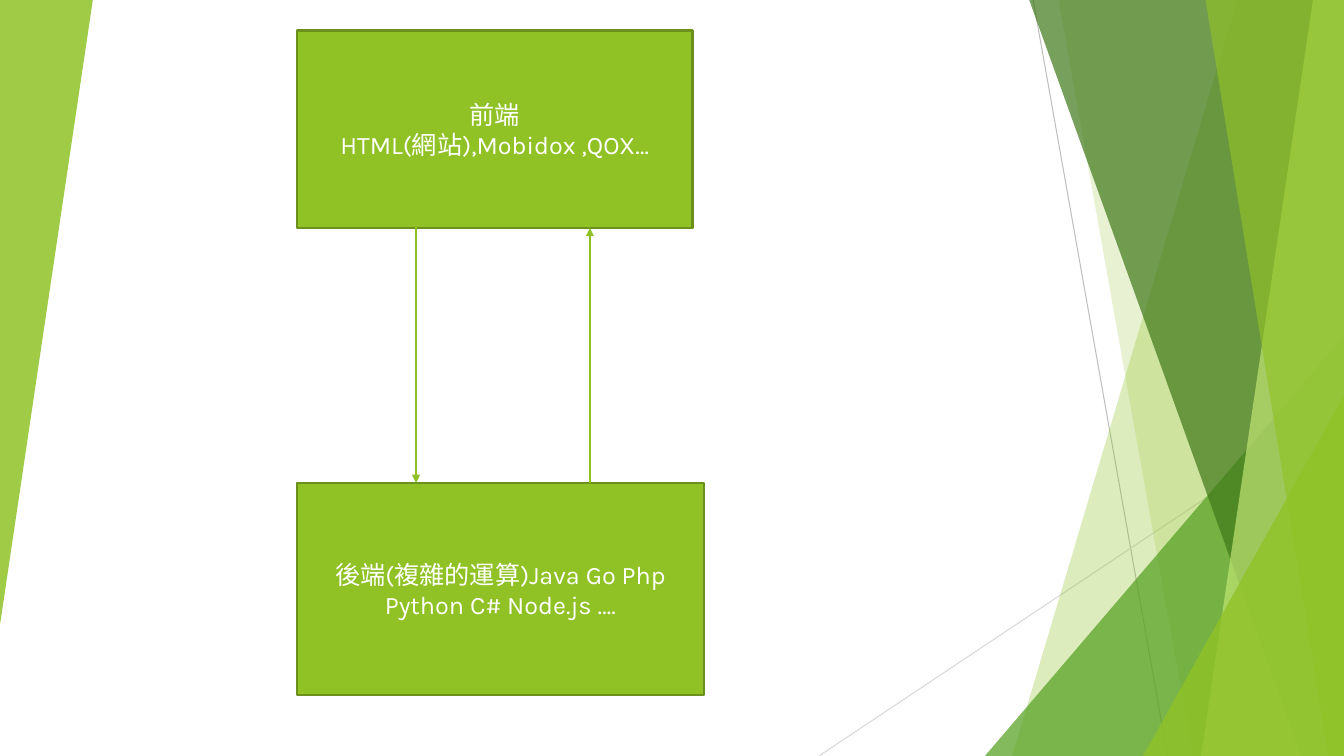
from pptx import Presentation, util as u
from pptx.dml.color import RGBColor
from pptx.enum import shapes, text
from pptx.oxml.ns import qn
from lxml import etree

Pt = u.Pt
WIDTH, HEIGHT, TOP = 960, 540, -0.6
WHITE = RGBColor(0xFF, 0xFF, 0xFF)
LIME = RGBColor(0x90, 0xC2, 0x26)
PALE_LIME = RGBColor(0xC0, 0xE4, 0x74)
GREEN = RGBColor(0x54, 0xA0, 0x21)
DARK_GREEN = RGBColor(0x3F, 0x78, 0x19)
OLIVE = RGBColor(0x6B, 0x90, 0x1C)
GREY = RGBColor(0xBF, 0xBF, 0xBF)
LIGHT_GREY = RGBColor(0xD9, 0xD9, 0xD9)


class Painter:
    font, size = "Karla", 18

    def __init__(self, slide):
        self.s = slide

    def fill(self, sp, color, alpha=100):
        sp.shadow.inherit = False
        sp.fill.solid()
        sp.fill.fore_color.rgb = color
        sp.line.fill.background()
        if alpha < 100:
            clr = sp.fill._xPr.find(qn("a:solidFill"))[0]
            etree.SubElement(clr, qn("a:alpha"), val=str(alpha * 1000))

    def band(self, top_x, bottom_x, color, alpha):
        """Band from a slanted left edge to the right slide edge."""
        fb = self.s.shapes.build_freeform(Pt(top_x), Pt(TOP))
        fb.add_line_segments([(Pt(x), Pt(y)) for x, y in (
            (WIDTH, TOP), (WIDTH, HEIGHT), (bottom_x, HEIGHT))])
        self.fill(fb.convert_to_shape(), color, alpha)

    def shape(self, kind, x, y, w, h, color, alpha=100):
        sp = self.s.shapes.add_shape(kind, Pt(x), Pt(y), Pt(w), Pt(h))
        self.fill(sp, color, alpha)
        return sp

    def triangle(self, x, y, w, h, color, alpha, rotation=0):
        sp = self.shape(shapes.MSO_SHAPE.ISOSCELES_TRIANGLE, x, y, w, h, color, alpha)
        sp.adjustments[0] = 1
        sp.rotation = rotation

    def box(self, x, y, w, h, lines):
        sp = self.shape(shapes.MSO_SHAPE.RECTANGLE, x, y, w, h, LIME)
        sp.line.color.rgb = OLIVE
        sp.line.width = Pt(1.5)
        tf = sp.text_frame
        tf.word_wrap = True
        tf.vertical_anchor = text.MSO_ANCHOR.MIDDLE
        tf.text = lines
        for p in tf.paragraphs:
            p.alignment = text.PP_ALIGN.CENTER
            for r in p.runs:
                r.font.name, r.font.size = self.font, Pt(self.size)
                r.font.color.rgb = WHITE

    def line(self, x1, y1, x2, y2, color, width=0.75, arrow=False):
        cx = self.s.shapes.add_connector(
            shapes.MSO_CONNECTOR.STRAIGHT, Pt(x1), Pt(y1), Pt(x2), Pt(y2))
        cx.line.color.rgb = color
        cx.line.width = Pt(width)
        if arrow:
            etree.SubElement(cx.line._get_or_add_ln(), qn("a:tailEnd"), type="triangle")
        etree.SubElement(cx._element.spPr, qn("a:effectLst"))


prs = Presentation()
prs.slide_width, prs.slide_height = Pt(WIDTH), Pt(HEIGHT)
s = prs.slides.add_slide(prs.slide_layouts[6])
d = Painter(s)

# Decorative lines and facets
d.line(738, 0, 834, HEIGHT, GREY)
d.line(WIDTH, 290, 585, HEIGHT, LIGHT_GREY)
d.band(884, 723, LIME, 30)
d.band(756, 852, LIME, 20)
d.triangle(703.5, 240, 256.5, 300, GREEN, 72)
d.band(735, 929.5, DARK_GREEN, 70)
d.band(938, 858, PALE_LIME, 70)
d.band(861, 949, LIME, 65)
d.triangle(816.5, 283, 143.5, 257, LIME, 80)
d.triangle(0, 0, 66.3, 446.3, LIME, 85, rotation=180)

# Front end and back end
d.box(212.2, 21.8, 282.5, 141, "前端\nHTML(網站),Mobidox ,QOX…")
d.box(212.2, 345, 290.5, 151.5, "後端(複雜的運算)Java Go Php Python C# Node.js ….")

# Request and response arrows
d.line(297.2, 161.5, 297.2, 345, LIME, 1, arrow=True)
d.line(421.4, 345, 421.4, 162.8, LIME, 1, arrow=True)

prs.save("out.pptx")
